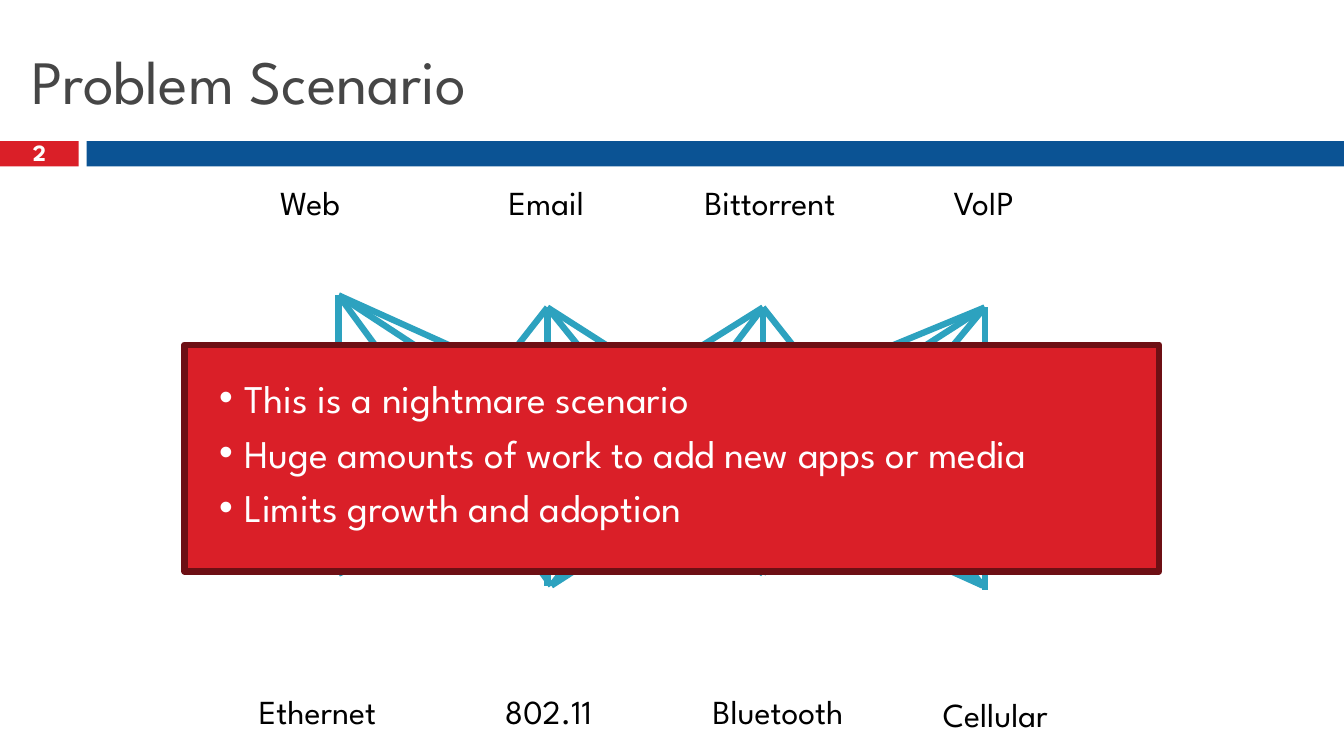
from lxml import etree
from pptx import Presentation
from pptx.dml.color import RGBColor
from pptx.enum.shapes import MSO_CONNECTOR as CONN, MSO_SHAPE as SHAPE
from pptx.enum.text import MSO_ANCHOR as ANCHOR, PP_ALIGN as ALIGN
from pptx.oxml.ns import qn
from pptx.util import Pt

TITLE = "Problem Scenario"
NUMBER = "2"
APPS = [
    ("Web", 221.4, 103),
    ("Email", 390.2, 98),
    ("Bittorrent", 550.1, 122.4),
    ("VoIP", 702.7, 86.4),
]
MEDIA = [
    ("Ethernet", 226.8, 122.4, 490.3),
    ("802.11", 391.7, 86.4, 490.3),
    ("Bluetooth", 555.8, 151.2, 490.3),
    ("Cellular", 711, 107.3, 491.8),
]
PROBLEMS = [
    "This is a nightmare scenario",
    "Huge amounts of work to add new apps or media",
    "Limits growth and adoption",
]
APP_ENDS = [(241.9, 211), (391, 219.6), (545, 219.6), (703.4, 219.6)]
MEDIA_ENDS = [(241.9, 409.7), (393.8, 418.3), (545, 409.7), (702, 418.3)]
DROP_ENDS = [409.7, 418.3, 409.7, 421.2]

FONT = "League Spartan"
COLORS = {
    "red": "DA1F28",
    "dark_red": "6D0F14",
    "blue": "0B5394",
    "teal": "2DA2BF",
    "gray": "464646",
    "black": "000000",
    "white": "FFFFFF",
}

prs = Presentation()
prs.slide_width, prs.slide_height = Pt(960), Pt(540)
s = prs.slides.add_slide(prs.slide_layouts[6])


def rgb(name):
    return RGBColor.from_string(COLORS[name])


def add_rect(x, y, w, h, fill, border=None):
    sp = s.shapes.add_shape(SHAPE.RECTANGLE, Pt(x), Pt(y), Pt(w), Pt(h))
    sp.shadow.inherit = False
    sp.fill.solid()
    sp.fill.fore_color.rgb = rgb(fill)
    if border:
        sp.line.color.rgb = rgb(border)
        sp.line.width = Pt(4.5)
    else:
        sp.line.fill.background()


def add_link(start, end):
    sp = s.shapes.add_connector(CONN.STRAIGHT, *map(Pt, start + end))
    sp.line.color.rgb = rgb("teal")
    sp.line.width = Pt(4.5)
    etree.SubElement(sp._element.spPr, qn("a:effectLst"))


def add_bullet(p):
    pPr = p._p.get_or_add_pPr()
    pPr.set("marL", str(Pt(27)))
    pPr.set("indent", str(-Pt(18)))
    color = etree.SubElement(pPr, qn("a:buClr"))
    etree.SubElement(color, qn("a:srgbClr"), val=COLORS["white"])
    etree.SubElement(pPr, qn("a:buFont"), typeface="Arial")
    etree.SubElement(pPr, qn("a:buChar"), char="•")


def add_text(lines, x, y, w, h, size=24, color="black", bold=False,
             align=ALIGN.CENTER, anchor=ANCHOR.TOP, bullets=False,
             gap=0, spacing=None):
    tf = s.shapes.add_textbox(Pt(x), Pt(y), Pt(w), Pt(h)).text_frame
    tf.word_wrap = True
    tf.vertical_anchor = anchor
    for i, line in enumerate(lines):
        p = tf.add_paragraph() if i else tf.paragraphs[0]
        p.alignment = align
        if spacing:
            p.line_spacing = spacing
        if i:
            p.space_before = Pt(gap)
        if bullets:
            add_bullet(p)
        r = p.add_run()
        r.text = line
        r.font.name = FONT
        r.font.size = Pt(size)
        r.font.bold = bold
        r.font.color.rgb = rgb(color)


add_rect(0, 100.8, 56.2, 18, "red")
add_rect(61.9, 100.8, 898.1, 18, "blue")

for i, (x, y) in enumerate(APP_ENDS):
    for j, media_end in enumerate(MEDIA_ENDS):
        add_link((x, y), (x, DROP_ENDS[i]) if i == j else media_end)

add_text([TITLE], 15.8, 18, 928, 77.8, size=44, color="gray",
         align=ALIGN.LEFT, anchor=ANCHOR.MIDDLE)
add_text([NUMBER], 0, 98.6, 56.2, 23.8, size=16.6, color="white",
         bold=True, anchor=ANCHOR.MIDDLE, spacing=0.8)

labels = [(name, mid, w, 126.7) for name, mid, w in APPS] + MEDIA
for name, mid, w, y in labels:
    add_text([name], mid - w / 2, y, w, 36)

add_rect(131.8, 246.2, 696.2, 162, "red", "dark_red")
add_text(PROBLEMS, 140.4, 263.5, 684, 128.2, size=28, color="white",
         align=ALIGN.LEFT, bullets=True, gap=5.6)

prs.save("out.pptx")
